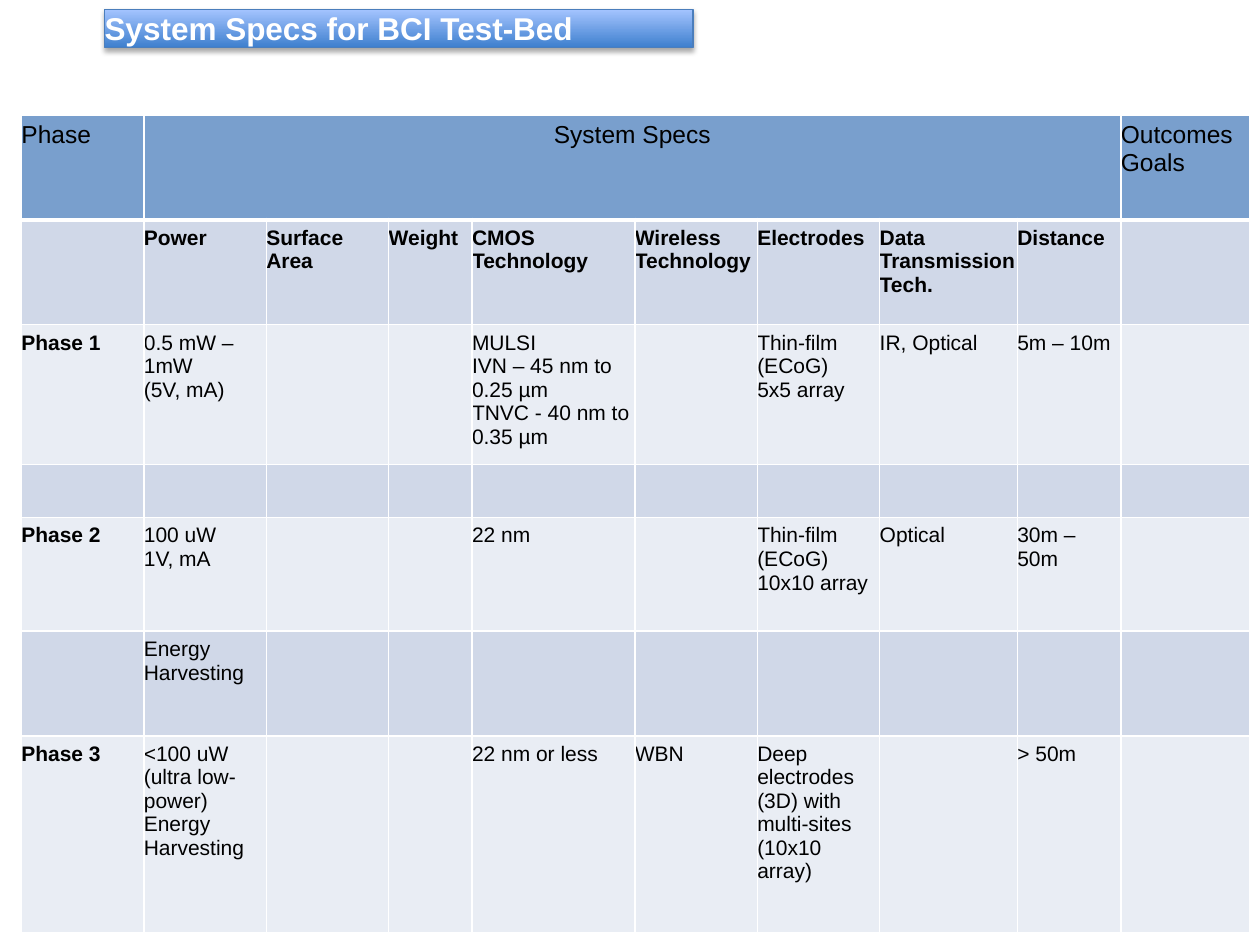
from lxml.etree import SubElement
from pptx import Presentation
from pptx.dml.color import RGBColor
from pptx.enum.shapes import MSO_SHAPE
from pptx.enum.text import MSO_ANCHOR, MSO_AUTO_SIZE, PP_ALIGN
from pptx.oxml.ns import qn
from pptx.util import Inches, Pt

COLORS = {
    "header": "799FCD", "dark band": "D0D8E8", "light band": "E9EDF4",
    "title bottom": "3F80CE", "title top": "A4C4FF", "title line": "4B7EBC",
    "white": "FFFFFF", "black": "000000",
}
FONT = "Arial"
SLIDE_WIDTH, SLIDE_HEIGHT = Inches(10), Inches(7.5)

# Column widths and row heights are relative shares of the table's box.
COLUMNS = [0.97, 0.97, 0.97, 0.66, 1.29, 0.97, 0.97, 1.09, 0.82, 1.02]
ROWS = [0.83, 0.83, 1.11, 0.42, 0.9, 0.83, 1.56]
LAST_COLUMN = len(COLUMNS) - 1
# Text by row and column; each line of a cell is a paragraph.
CELL_TEXT = [
    {0: "Phase", 1: "System Specs", LAST_COLUMN: "Outcomes\nGoals"},
    {1: "Power", 2: "Surface Area", 3: "Weight", 4: "CMOS Technology",
     5: "Wireless\nTechnology", 6: "Electrodes",
     7: "Data Transmission Tech.", 8: "Distance"},
    {0: "Phase 1", 1: "0.5 mW – 1mW\n(5V, mA)",
     4: "MULSI\nIVN – 45 nm to 0.25 µm\nTNVC - 40 nm to 0.35 µm",
     6: "Thin-film (ECoG)\n5x5 array", 7: "IR, Optical", 8: "5m – 10m"},
    {},
    {0: "Phase 2", 1: "100 uW\n1V, mA", 4: "22 nm",
     6: "Thin-film (ECoG)\n10x10 array", 7: "Optical", 8: "30m – 50m"},
    {1: "Energy Harvesting"},
    {0: "Phase 3", 1: "<100 uW\n(ultra low-power)\nEnergy Harvesting",
     4: "22 nm or less", 5: "WBN",
     6: "Deep electrodes (3D) with multi-sites\n(10x10 array)", 8: "> 50m"},
]


def color(name):
    return RGBColor.from_string(COLORS[name])


def slide_box(left, top, width, height):
    """Turn shares of the slide's size into lengths."""
    return (int(left * SLIDE_WIDTH), int(top * SLIDE_HEIGHT),
            int(width * SLIDE_WIDTH), int(height * SLIDE_HEIGHT))


def write_text(text_frame, text, size, color_name, bold, align=PP_ALIGN.LEFT):
    for index, line in enumerate(text.split("\n")):
        paragraph = text_frame.paragraphs[0] if index == 0 else text_frame.add_paragraph()
        paragraph.alignment = align
        run = paragraph.add_run()
        run.text = line
        run.font.name, run.font.size, run.font.bold = FONT, Pt(size), bold
        run.font.color.rgb = color(color_name)


def add_shadow(shape):
    shape.shadow.inherit = False
    effects = shape._element.spPr.find(qn("a:effectLst"))
    shadow = SubElement(effects, qn("a:outerShdw"), blurRad=str(Pt(3.1)),
                        dist=str(Pt(1.8)), dir="5400000", rotWithShape="0")
    shade = SubElement(shadow, qn("a:srgbClr"), val=COLORS["black"])
    SubElement(shade, qn("a:alpha"), val="35000")


def add_title(slide, box):
    shape = slide.shapes.add_shape(MSO_SHAPE.RECTANGLE, *box)
    shape.fill.gradient()
    shape.fill.gradient_angle = 90
    for stop, name in zip(shape.fill.gradient_stops, ("title bottom", "title top")):
        stop.color.rgb = color(name)
    shape.line.color.rgb = color("title line")
    shape.line.width = Pt(0.75)
    add_shadow(shape)
    frame = shape.text_frame
    frame.margin_left = frame.margin_right = frame.margin_top = frame.margin_bottom = 0
    frame.word_wrap = True
    frame.auto_size = MSO_AUTO_SIZE.SHAPE_TO_FIT_TEXT
    frame.vertical_anchor = MSO_ANCHOR.TOP
    write_text(frame, "System Specs for BCI Test-Bed", 18, "white", True)


def add_borders(cell, bottom_width):
    properties = cell._tc.get_or_add_tcPr()
    for side, width in (("L", 1), ("R", 1), ("T", 1), ("B", bottom_width)):
        line = SubElement(properties, qn(f"a:ln{side}"), w=str(Pt(width)))
        fill = SubElement(line, qn("a:solidFill"))
        SubElement(fill, qn("a:srgbClr"), val=COLORS["white"])


def format_cell(cell, row, column):
    is_header = row == 0
    cell.margin_left = cell.margin_right = 0
    cell.margin_top = cell.margin_bottom = Inches(0.05)
    add_borders(cell, 3 if is_header else 1)
    cell.fill.solid()
    band = "dark band" if row % 2 else "light band"
    cell.fill.fore_color.rgb = color("header" if is_header else band)
    text = CELL_TEXT[row].get(column)
    if text:
        bold = row == 1 or (column == 0 and not is_header)
        align = PP_ALIGN.CENTER if is_header and column == 1 else PP_ALIGN.LEFT
        write_text(cell.text_frame, text, 14 if is_header else 12, "black", bold, align)


def add_specs_table(slide, box):
    table = slide.shapes.add_table(len(ROWS), len(COLUMNS), *box).table
    table.first_row = table.horz_banding = False
    for column, share in zip(table.columns, COLUMNS):
        column.width = int(box[2] * share / sum(COLUMNS))
    for row, share in zip(table.rows, ROWS):
        row.height = int(box[3] * share / sum(ROWS))
    table.cell(0, 1).merge(table.cell(0, LAST_COLUMN - 1))
    for row in range(len(ROWS)):
        for column in range(len(COLUMNS)):
            format_cell(table.cell(row, column), row, column)


def main():
    presentation = Presentation()
    presentation.slide_width, presentation.slide_height = SLIDE_WIDTH, SLIDE_HEIGHT
    slide = presentation.slides.add_slide(presentation.slide_layouts[6])
    add_title(slide, slide_box(0.083, 0.01, 0.467, 0.04))
    add_specs_table(slide, slide_box(0.017, 0.122, 0.975, 0.865))
    presentation.save("out.pptx")


if __name__ == "__main__":
    main()
